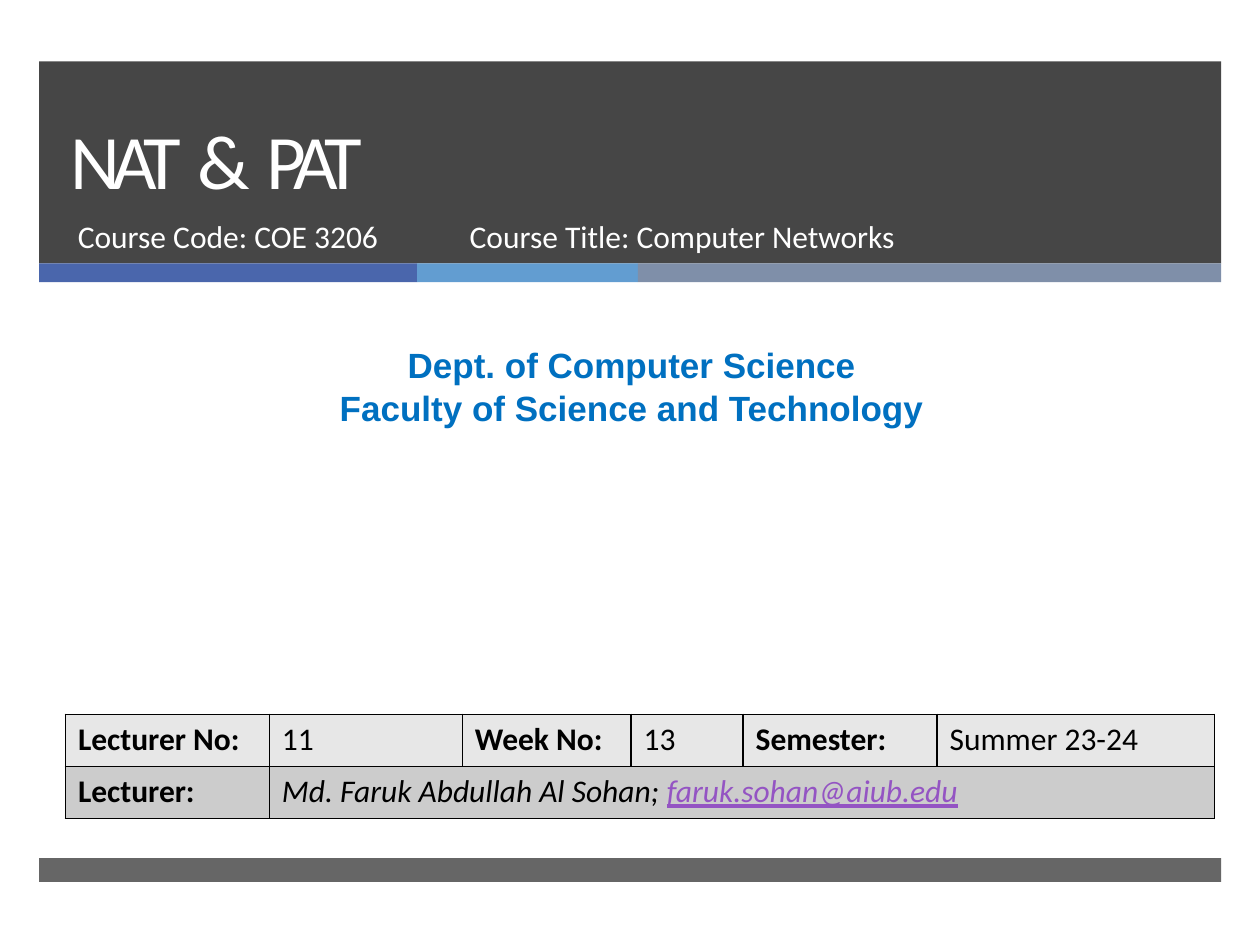
from lxml.etree import SubElement
from pptx import Presentation
from pptx.dml.color import RGBColor
from pptx.enum.shapes import MSO_SHAPE as SHAPE
from pptx.enum.text import MSO_ANCHOR as ANCHOR, PP_ALIGN as ALIGN
from pptx.oxml.ns import qn
from pptx.util import Cm, Pt

WHITE = RGBColor(0xFF, 0xFF, 0xFF)
BLACK = RGBColor(0x00, 0x00, 0x00)
CHARCOAL = RGBColor(0x26, 0x26, 0x26)
DEPT_BLUE = RGBColor(0x00, 0x70, 0xC0)
EMAIL_PURPLE = RGBColor(0x94, 0x54, 0xC3)
STRIPES = [
    (7.62, RGBColor(0x4A, 0x66, 0xAC)),
    (4.45, RGBColor(0x62, 0x9D, 0xD1)),
    (11.76, RGBColor(0x7F, 0x8F, 0xA9)),
]
ROW_FILLS = [RGBColor(0xE7, 0xE7, 0xE7), RGBColor(0xCC, 0xCC, 0xCC)]


def add_bar(s, x, y, w, h, color, opacity=100):
    sp = s.shapes.add_shape(SHAPE.RECTANGLE, Cm(x), Cm(y), Cm(w), Cm(h))
    sp.shadow.inherit = False
    sp.fill.solid()
    sp.fill.fore_color.rgb = color
    sp.line.fill.background()
    if opacity < 100:
        clr = sp.fill._xPr.find(qn("a:solidFill"))[0]
        SubElement(clr, qn("a:alpha"), val=str(opacity * 1000))


def style(font, name, size, color, bold=False):
    font.name, font.size, font.bold = name, Pt(size), bold
    font.color.rgb = color


def add_text(s, x, y, w, h, lines, name, size, color, bold=False, align=ALIGN.LEFT):
    tf = s.shapes.add_textbox(Cm(x), Cm(y), Cm(w), Cm(h)).text_frame
    tf.word_wrap = True
    for i, line in enumerate(lines):
        p = tf.add_paragraph() if i else tf.paragraphs[0]
        p.alignment = align
        style(p.font, name, size, color, bold)
        for text, spacing in line:
            r = p.add_run()
            r.text = text
            if spacing:
                r.font._rPr.set("spc", str(int(spacing * 100)))
    return tf


def add_header(s, x, y, w, h):
    stripe_h = 0.38
    add_bar(s, x, y, w, h - stripe_h, CHARCOAL, 85)
    left = x
    for width, color in STRIPES:
        add_bar(s, left, y + h - stripe_h, width, stripe_h, color)
        left += width
    title = [("NAT", -4.3), (" & ", -0.5), ("PAT", -4.3)]
    tf = add_text(s, x + 0.38, y, 21.69, 3.02, [title], "Calibri", 44, WHITE)
    tf.vertical_anchor = ANCHOR.BOTTOM
    tf.paragraphs[0].line_spacing = Pt(46)
    for dx, width, text in [
        (0.53, 7.75, "Course Code: COE 3206"),
        (8.43, 11.56, "Course Title: Computer Networks"),
    ]:
        add_text(s, x + dx, y + 3.02, width, 1.35, [[(text, 0)]], "Calibri", 18, WHITE)


def add_department(s, x, y, w, h):
    lines = [[("Dept. of Computer Science", 0)], [("Faculty of Science and Technology", 0)]]
    add_text(s, x, y, w, h, lines, "Arial", 20, DEPT_BLUE, True, ALIGN.CENTER)


def add_borders(cell):
    tcPr = cell._tc.get_or_add_tcPr()
    for i, side in enumerate(("a:lnL", "a:lnR", "a:lnT", "a:lnB")):
        ln = tcPr.makeelement(qn(side), {"w": str(Pt(1))})
        fill = SubElement(ln, qn("a:solidFill"))
        SubElement(fill, qn("a:srgbClr"), val=str(BLACK))
        tcPr.insert(i, ln)


def add_lecture_table(s, x, y, w, h):
    rows = [
        ["Lecturer No:", "11", "Week No:", "13", "Semester:", "Summer 23-24"],
        ["Lecturer:", "Md. Faruk Abdullah Al Sohan; "],
    ]
    widths = [4.11, 3.89, 3.4, 2.26, 3.91, 5.59]
    table = s.shapes.add_table(len(rows), len(widths), Cm(x), Cm(y), Cm(w), Cm(h)).table
    table.first_row = table.horz_banding = False
    for col, width in zip(table.columns, widths):
        col.width = Cm(width)
    for i, (texts, color) in enumerate(zip(rows, ROW_FILLS)):
        for j in range(len(widths)):
            cell = table.cell(i, j)
            cell.fill.solid()
            cell.fill.fore_color.rgb = color
            add_borders(cell)
            if j < len(texts):
                p = cell.text_frame.paragraphs[0]
                p.add_run().text = texts[j]
                style(p.font, "Calibri", 18, BLACK, j % 2 == 0)
    lecturer = table.cell(1, 1)
    lecturer.merge(table.cell(1, len(widths) - 1))
    p = lecturer.text_frame.paragraphs[0]
    p.font.italic = True
    r = p.add_run()
    r.text = "faruk.sohan@aiub.edu"
    r.font.underline = True
    r.font.color.rgb = EMAIL_PURPLE


def main():
    prs = Presentation()
    prs.slide_width, prs.slide_height = Cm(25.4), Cm(19.05)
    s = prs.slides.add_slide(prs.slide_layouts[6])
    add_header(s, 0.79, 1.24, 23.83, 4.45)
    add_bar(s, 0.79, 17.3, 23.83, 0.48, CHARCOAL, 70)
    add_department(s, 0.2, 6.81, 25.07, 1.96)
    add_lecture_table(s, 1.32, 14.4, 23.16, 2.1)
    prs.save("out.pptx")


if __name__ == "__main__":
    main()
